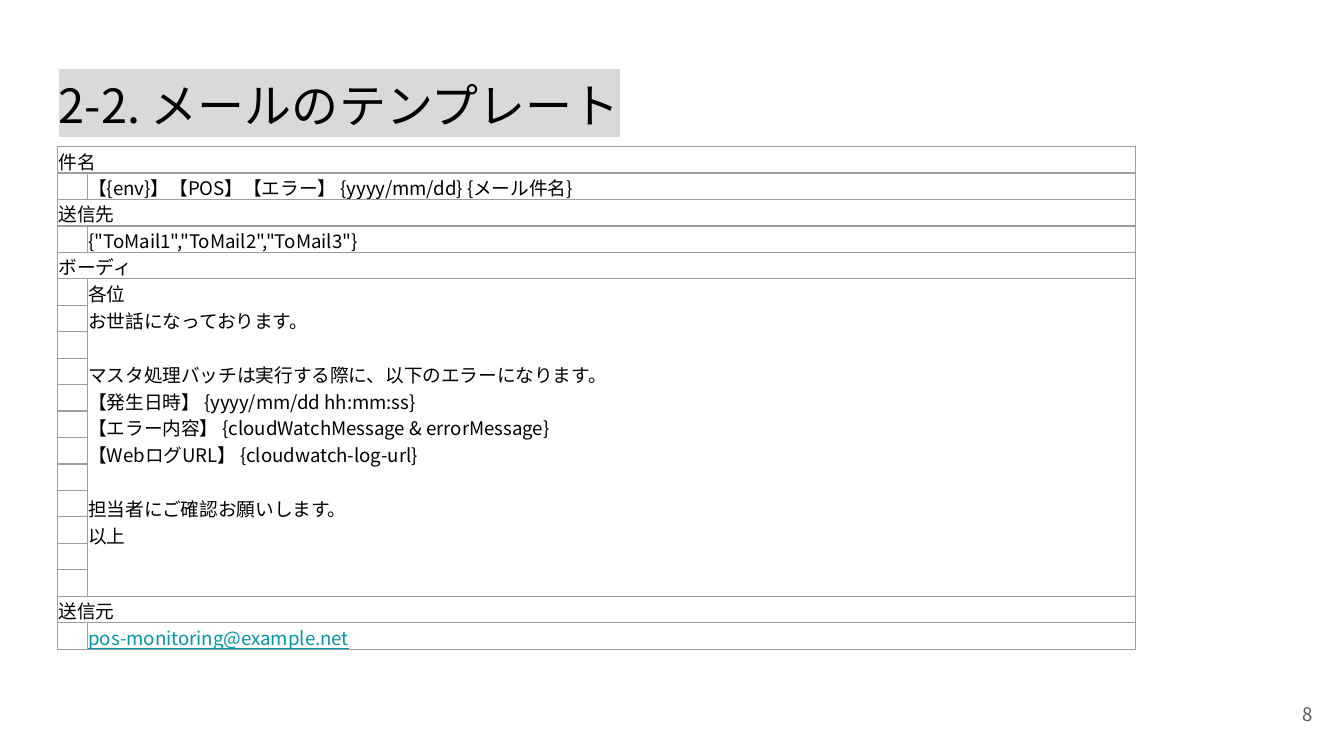
"""Build the slide that shows the mail template as a table."""
from copy import deepcopy
from dataclasses import dataclass

from lxml import etree
from pptx import Presentation
from pptx.dml.color import RGBColor
from pptx.enum.text import MSO_ANCHOR, PP_ALIGN
from pptx.oxml.ns import qn
from pptx.util import Cm, Pt

MIDDLE = MSO_ANCHOR.MIDDLE
LEFT, RIGHT = PP_ALIGN.LEFT, PP_ALIGN.RIGHT


@dataclass(frozen=True)
class Theme:
    font: str = "Noto Sans CJK JP"
    ink: str = "000000"
    muted: str = "595959"
    link: str = "0097A7"
    highlight: str = "D9D9D9"
    border: str = "9E9E9E"
    border_width: float = 0.75
    title_size: float = 25.2
    text_size: float = 10
    blank_line: float = 14.5


THEME = Theme()
BODY_ROWS = 12
COLUMN_WIDTHS = (0.56, 19.81)
ROW_HEIGHT = 0.5

SECTIONS = [
    ("件名", "【{env}】【POS】【エラー】 {yyyy/mm/dd} {メール件名}", 1, THEME.ink),
    ("送信先", '{"ToMail1","ToMail2","ToMail3"}', 1, THEME.ink),
    ("ボーディ", """各位
お世話になっております。

マスタ処理バッチは実行する際に、以下のエラーになります。
【発生日時】 {yyyy/mm/dd hh:mm:ss}
【エラー内容】 {cloudWatchMessage & errorMessage}
【WebログURL】 {cloudwatch-log-url}

担当者にご確認お願いします。
以上""", BODY_ROWS, THEME.ink),
    ("送信元", "pos-monitoring@example.net", 1, THEME.link),
]


def style_paragraph(para, size, color):
    font = para.font
    font.name = THEME.font
    font.size = Pt(size)
    font.color.rgb = RGBColor.from_string(color)
    if color == THEME.link:
        font.underline = True
    defaults = para._p.pPr.find(qn("a:defRPr"))
    etree.SubElement(defaults, qn("a:ea"), typeface=THEME.font)
    if not para.runs:
        ending = deepcopy(defaults)
        ending.tag = qn("a:endParaRPr")
        para._p.append(ending)


def highlight_span(span, color):
    mark = etree.SubElement(span._r.get_or_add_rPr(), qn("a:highlight"))
    etree.SubElement(mark, qn("a:srgbClr"), val=color)


def add_text(page, text, place, size, color, align=LEFT):
    box = page.shapes.add_textbox(*(Cm(length) for length in place))
    frame = box.text_frame
    frame.word_wrap = True
    frame.vertical_anchor = MIDDLE
    frame.margin_left = frame.margin_right = Cm(0.25)
    frame.margin_top = frame.margin_bottom = Cm(0.25)
    para = frame.paragraphs[0]
    para.text = text
    para.alignment = align
    style_paragraph(para, size, color)
    return para


def add_borders(cell):
    properties = cell._tc.get_or_add_tcPr()
    for side in ("lnL", "lnR", "lnT", "lnB"):
        line = etree.SubElement(properties, qn(f"a:{side}"), w=str(Pt(THEME.border_width)))
        fill = etree.SubElement(line, qn("a:solidFill"))
        etree.SubElement(fill, qn("a:srgbClr"), val=THEME.border)


def format_cell(cell):
    cell.margin_left = cell.margin_right = cell.margin_top = Cm(0.02)
    cell.margin_bottom = 0
    add_borders(cell)
    cell.fill.background()


def write_cell(cell, text="", color=THEME.ink):
    frame = cell.text_frame
    for index, block in enumerate(text.split("\n\n")):
        for position, line in enumerate(block.split("\n")):
            first = index == position == 0
            para = frame.paragraphs[0] if first else frame.add_paragraph()
            para.text = line
            if index and position == 0:
                para.space_before = Pt(THEME.blank_line)
            style_paragraph(para, THEME.text_size, color)


def add_mail_table(page):
    row_count = sum(1 + span for _, _, span, _ in SECTIONS)
    frame = page.shapes.add_table(row_count, 2, Cm(1.09), Cm(2.77),
                                  Cm(sum(COLUMN_WIDTHS)), Cm(ROW_HEIGHT * row_count))
    table = frame.table
    table.first_row = table.horz_banding = False
    for column, width in zip(table.columns, COLUMN_WIDTHS):
        column.width = Cm(width)
    for row in table.rows:
        row.height = Cm(ROW_HEIGHT)

    contents = {}
    top = 0
    for heading, text, span, color in SECTIONS:
        contents[top, 0] = (heading,)
        contents[top + 1, 1] = (text, color)
        table.cell(top, 0).merge(table.cell(top, 1))
        if span > 1:
            table.cell(top + 1, 1).merge(table.cell(top + span, 1))
        top += 1 + span

    for row in range(row_count):
        for column in range(2):
            cell = table.cell(row, column)
            format_cell(cell)
            write_cell(cell, *contents.get((row, column), ()))


def main():
    deck = Presentation()
    deck.slide_width, deck.slide_height = Cm(25.4), Cm(14.29)
    page = deck.slides.add_slide(deck.slide_layouts[6])
    title = add_text(page, "2-2. メールのテンプレート", (0.86, 1.17, 23.67, 1.6),
                     THEME.title_size, THEME.ink)
    highlight_span(title.runs[0], THEME.highlight)
    add_text(page, "8", (23.55, 12.95, 1.52, 1.09), THEME.text_size, THEME.muted, RIGHT)
    add_mail_table(page)
    deck.save("out.pptx")


if __name__ == "__main__":
    main()
